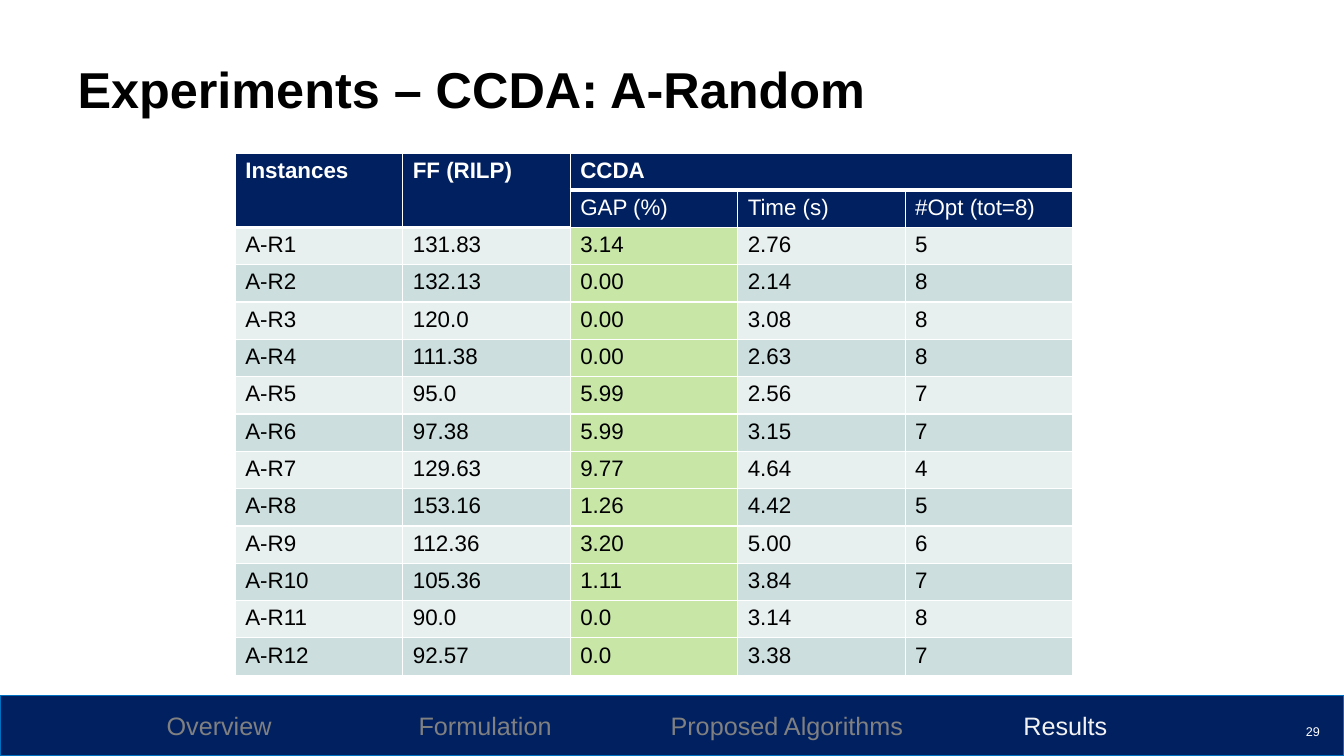
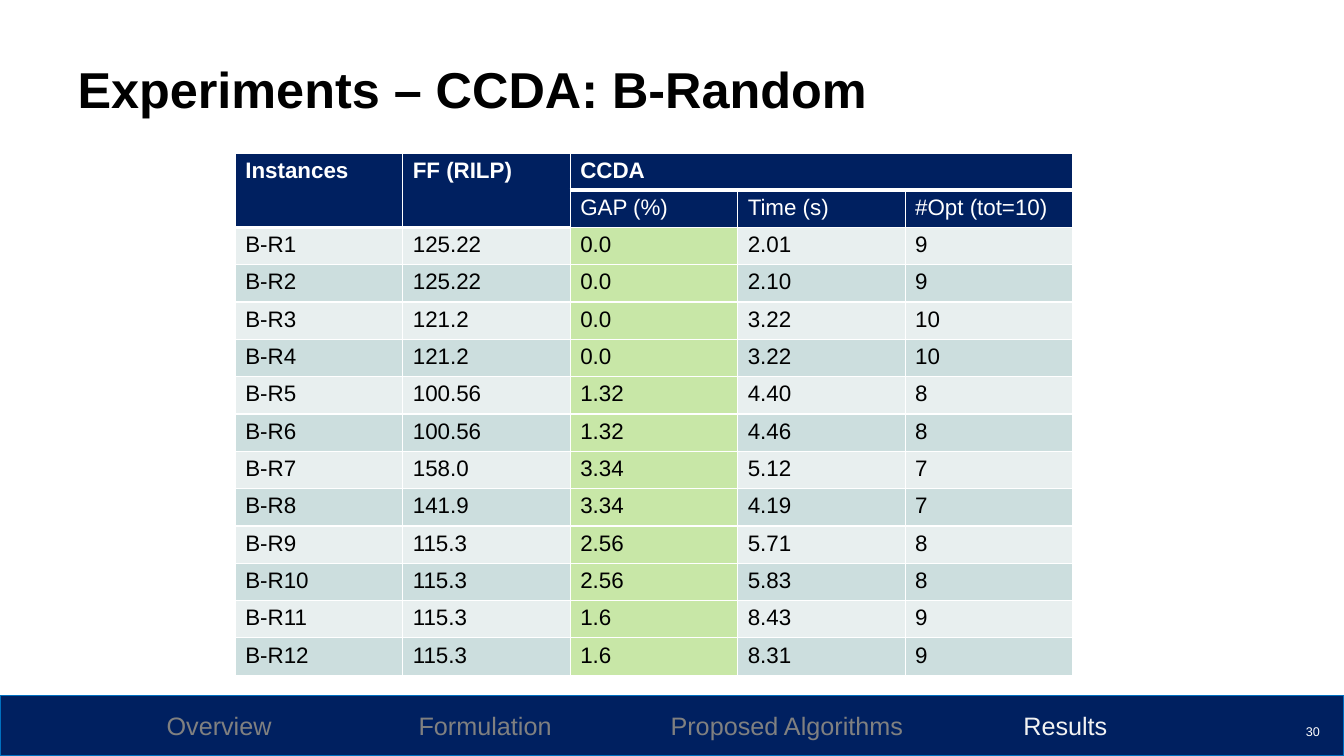
from lxml import etree
from pptx import Presentation
from pptx import util as u
from pptx.dml.color import RGBColor
from pptx.enum import shapes, text
from pptx.oxml import ns

FONT = "Arial"
NAVY, BLUE, WHITE, BLACK = "002060", "0070C0", "FFFFFF", "000000"
GREY, PALE, GREEN = "808080", "F2F2F2", "92D050"
BANDING = ["E8EFEF", "CCDEDE"]

SECTIONS = ["Overview", "Formulation", "Proposed Algorithms", "Results"]
CURRENT_SECTION = "Results"
SECTION_TABS = [6.35, 12.7, 21.59]

FIRST_NUMBER = 29
COLUMN_WIDTH = 4.22
HEADER_HEIGHT, ROW_HEIGHT = 0.89, 0.94
GAP_COLUMN = 2

EXPERIMENTS = [
    ("Experiments – CCDA: A-Random", "A-R", "#Opt (tot=8)", [
        ("131.83", "3.14", "2.76", "5"),
        ("132.13", "0.00", "2.14", "8"),
        ("120.0", "0.00", "3.08", "8"),
        ("111.38", "0.00", "2.63", "8"),
        ("95.0", "5.99", "2.56", "7"),
        ("97.38", "5.99", "3.15", "7"),
        ("129.63", "9.77", "4.64", "4"),
        ("153.16", "1.26", "4.42", "5"),
        ("112.36", "3.20", "5.00", "6"),
        ("105.36", "1.11", "3.84", "7"),
        ("90.0", "0.0", "3.14", "8"),
        ("92.57", "0.0", "3.38", "7"),
    ]),
    ("Experiments – CCDA: B-Random", "B-R", "#Opt (tot=10)", [
        ("125.22", "0.0", "2.01", "9"),
        ("125.22", "0.0", "2.10", "9"),
        ("121.2", "0.0", "3.22", "10"),
        ("121.2", "0.0", "3.22", "10"),
        ("100.56", "1.32", "4.40", "8"),
        ("100.56", "1.32", "4.46", "8"),
        ("158.0", "3.34", "5.12", "7"),
        ("141.9", "3.34", "4.19", "7"),
        ("115.3", "2.56", "5.71", "8"),
        ("115.3", "2.56", "5.83", "8"),
        ("115.3", "1.6", "8.43", "9"),
        ("115.3", "1.6", "8.31", "9"),
    ]),
]


def paint(target, color):
    """Make a fill solid, or colour a font, with a hex string."""
    if hasattr(target, "solid"):
        target.solid()
        target.fore_color.rgb = RGBColor.from_string(color)
    else:
        target.color.rgb = RGBColor.from_string(color)


def format_font(font, size, color, bold=False):
    font.name, font.size, font.bold = FONT, u.Pt(size), bold
    paint(font, color)


presentation = Presentation()
presentation.slide_width, presentation.slide_height = u.Cm(33.87), u.Cm(19.05)

for number, (heading, prefix, optimum_label, results) in enumerate(EXPERIMENTS, FIRST_NUMBER):
    slide = presentation.slides.add_slide(presentation.slide_layouts[5])

    # Title
    title = slide.shapes.title
    title.left, title.top, title.width, title.height = u.Cm(1.7), u.Cm(1.52), u.Cm(29.6), u.Cm(3.15)
    title.text_frame.text = heading
    title.text_frame.vertical_anchor = text.MSO_ANCHOR.TOP
    paragraph = title.text_frame.paragraphs[0]
    paragraph.alignment = text.PP_ALIGN.LEFT
    paragraph.line_spacing = 0.9
    format_font(paragraph.font, 36, BLACK, bold=True)

    # Navigation band
    band = slide.shapes.add_shape(
        shapes.MSO_SHAPE.RECTANGLE, 0, u.Cm(17.53), presentation.slide_width, u.Cm(1.52))
    band.shadow.inherit = False
    paint(band.fill, NAVY)
    paint(band.line.fill, BLUE)
    band.line.width = u.Pt(1)
    band.text_frame.margin_left = u.Cm(4.2)
    band.text_frame.vertical_anchor = text.MSO_ANCHOR.MIDDLE
    paragraph = band.text_frame.paragraphs[0]
    paragraph.alignment = text.PP_ALIGN.LEFT
    for index, section in enumerate(SECTIONS):
        run = paragraph.add_run()
        run.text = section if index == 0 else "\t" + section
        format_font(run.font, 18, PALE if section == CURRENT_SECTION else GREY)
    tab_list = etree.SubElement(paragraph._p.get_or_add_pPr(), ns.qn("a:tabLst"))
    for position in SECTION_TABS:
        etree.SubElement(tab_list, ns.qn("a:tab"), pos=str(u.Cm(position)), algn="l")

    # Slide number
    number_box = slide.shapes.add_textbox(u.Cm(32.31), u.Cm(17.93), u.Cm(1.2), u.Cm(1.02))
    number_box.text_frame.word_wrap = True
    number_box.text_frame.vertical_anchor = text.MSO_ANCHOR.MIDDLE
    paragraph = number_box.text_frame.paragraphs[0]
    paragraph.text = str(number)
    paragraph.alignment = text.PP_ALIGN.RIGHT
    format_font(paragraph.font, 9, WHITE)

    # Results table
    rows = [
        ("Instances", "FF (RILP)", "CCDA", "", ""),
        ("", "", "GAP (%)", "Time (s)", optimum_label),
    ]
    rows += [(f"{prefix}{index}", *values) for index, values in enumerate(results, 1)]
    table = slide.shapes.add_table(
        len(rows), len(rows[0]), u.Cm(5.93), u.Cm(3.86), u.Cm(COLUMN_WIDTH * len(rows[0])),
        u.Cm(HEADER_HEIGHT + ROW_HEIGHT * (len(rows) - 1))).table
    table.horz_banding = False
    for column in table.columns:
        column.width = u.Cm(COLUMN_WIDTH)
    for row_index, values in enumerate(rows):
        table.rows[row_index].height = u.Cm(ROW_HEIGHT if row_index else HEADER_HEIGHT)
        is_header = row_index < 2
        for column_index, value in enumerate(values):
            cell = table.cell(row_index, column_index)
            cell.text = value
            format_font(cell.text_frame.paragraphs[0].font, 16,
                        WHITE if is_header else BLACK, bold=row_index == 0)

            properties = cell._tc.get_or_add_tcPr()
            thick_bottom = row_index == 0 or (row_index == 1 and column_index < GAP_COLUMN)
            thick_top = row_index == 1 and column_index >= GAP_COLUMN
            widths = {"L": 1, "R": 1, "T": 3 if thick_top else 1, "B": 3 if thick_bottom else 1}
            for side, width in widths.items():
                border = etree.SubElement(properties, ns.qn(f"a:ln{side}"), w=str(u.Pt(width)))
                border_fill = etree.SubElement(border, ns.qn("a:solidFill"))
                etree.SubElement(border_fill, ns.qn("a:srgbClr"), val=WHITE)

            if is_header:
                paint(cell.fill, NAVY)
            elif column_index == GAP_COLUMN:
                paint(cell.fill, GREEN)
                green = properties.find(ns.qn("a:solidFill")).find(ns.qn("a:srgbClr"))
                etree.SubElement(green, ns.qn("a:alpha"), val="50000")
            else:
                paint(cell.fill, BANDING[row_index % 2])
    for column_index in range(GAP_COLUMN):
        table.cell(0, column_index).merge(table.cell(1, column_index))
    table.cell(0, GAP_COLUMN).merge(table.cell(0, len(rows[0]) - 1))

presentation.save("out.pptx")
